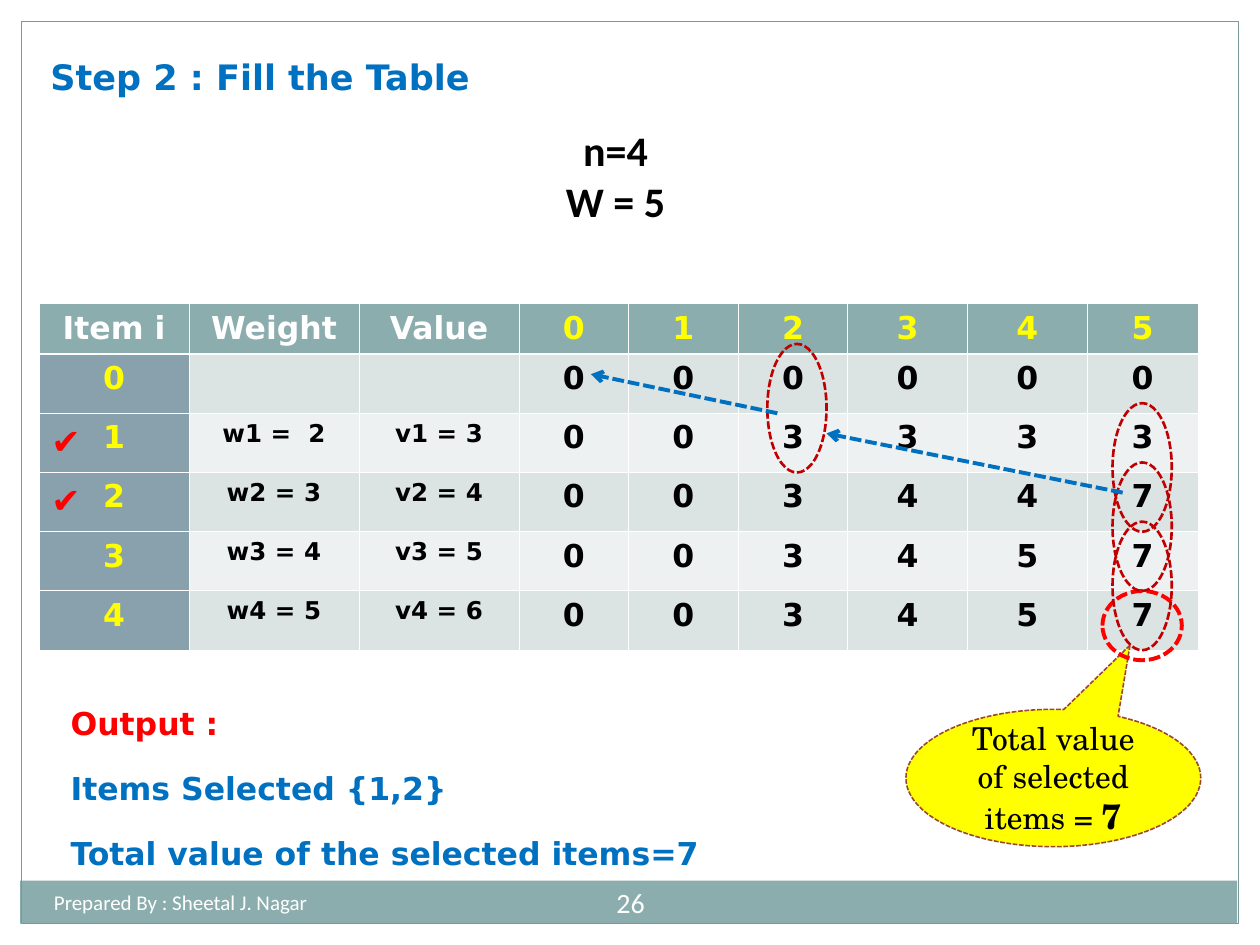
import pptx
import pptx.chart.data
import pptx.dml.color
import pptx.enum.dml
import pptx.enum.shapes
import pptx.enum.text
import pptx.oxml
import pptx.oxml.ns
import pptx.util

Inches, Pt = pptx.util.Inches, pptx.util.Pt
RGB = pptx.dml.color.RGBColor.from_string
SHAPE = pptx.enum.shapes.MSO_SHAPE
ALIGN, ANCHOR = pptx.enum.text.PP_ALIGN, pptx.enum.text.MSO_ANCHOR
NS = pptx.oxml.ns.nsdecls("a")

THEME = {
    "white": "FFFFFF", "black": "000000", "teal": "8CADAE", "frame": "7B9899",
    "item": "88A1AD", "bands": ("DBE3E3", "EEF1F2"), "yellow": "FFFF00",
    "blue": "0070C0", "red": "FF0000", "dark_red": "C00000", "brown": "994733",
    "main": "DejaVu Sans", "plain": "Calibri", "serif": "TeX Gyre Schola",
    "big": 24, "title": 20, "body": 18, "page": 16, "small": 14, "footer": 12,
}

TITLE = "Step 2 : Fill the Table"
GIVEN = ["n=4", "W = 5"]
OUTPUT = [("Output :", "red"), ("Items Selected {1,2}", "blue"),
          ("Total value of the selected items=7", "blue")]
FOOTER, PAGE = "Prepared By : Sheetal J. Nagar", "26"
CALLOUT, ANSWER = "Total value of selected items = ", "7"
ROWS = [
    ["Item i", "Weight", "Value", "0", "1", "2", "3", "4", "5"],
    ["0", "", "", "0", "0", "0", "0", "0", "0"],
    ["1", "w1 =  2", "v1 = 3", "0", "0", "3", "3", "3", "3"],
    ["2", "w2 = 3", "v2 = 4", "0", "0", "3", "4", "4", "7"],
    ["3", "w3 = 4", "v3 = 5", "0", "0", "3", "4", "5", "7"],
    ["4", "w4 = 5", "v4 = 6", "0", "0", "3", "4", "5", "7"],
]
COL_WIDTHS = [1.19, 1.35, 1.27, 0.87, 0.87, 0.87, 0.95, 0.95, 0.88]
TABLE_LEFT, TABLE_TOP, HEADER_H, ROW_H = 0.31, 2.41, 0.4, 0.47
CHOSEN_ITEMS = [2, 1]
COMPARED = [(8.83, 3), (8.83, 2), (8.83, 1), (6.09, 0)]  # left, upper item
TRACE_ARROWS = [(8.91, 3.91, 6.56, 3.44), (6.17, 3.28, 4.69, 2.97)]


def row_top(item):
    return TABLE_TOP + HEADER_H + ROW_H * item


def add_run(p, text, size, color, font="main", bold=True):
    r = p.add_run()
    r.text = text
    for name, value in {"size": Pt(THEME[size]), "name": THEME[font], "bold": bold}.items():
        setattr(r.font, name, value)
    r.font.color.rgb = RGB(THEME[color])


def set_line(line, color, width, dashed=True):
    line.color.rgb = RGB(THEME[color])
    line.width = Pt(width)
    if dashed:
        line.dash_style = pptx.enum.dml.MSO_LINE.SQUARE_DOT


def place(s, *box):
    for name, value in zip(("left", "top", "width", "height"), box):
        setattr(s, name, Inches(value))


def add_shape(shapes, kind, box, fill=None, line=None):
    s = shapes.add_shape(kind, *map(Inches, box))
    s.shadow.inherit = False
    if fill:
        s.fill.solid()
        s.fill.fore_color.rgb = RGB(THEME[fill])
    else:
        s.fill.background()
    if line:
        set_line(s.line, *line)
    else:
        s.line.fill.background()
    return s


def add_text(shapes, box, lines, size, color, font, bold, align=ALIGN.LEFT,
             anchor=ANCHOR.TOP):
    tf = shapes.add_textbox(*map(Inches, box)).text_frame
    tf.word_wrap, tf.vertical_anchor = True, anchor
    for i, line in enumerate(lines):
        p = tf.add_paragraph() if i else tf.paragraphs[0]
        p.alignment = align
        add_run(p, line, size, color, font, bold)
    return tf


def fill_placeholder(s, box, lines, size, space_before, line_spacing):
    place(s, *box)
    tf = s.text_frame
    tf.auto_size, tf.vertical_anchor = pptx.enum.text.MSO_AUTO_SIZE.NONE, ANCHOR.TOP
    for i, (text, color) in enumerate(lines):
        p = tf.add_paragraph() if i else tf.paragraphs[0]
        p.alignment, p.line_spacing = ALIGN.LEFT, line_spacing
        p.space_before = Pt(space_before)
        pPr = p._p.get_or_add_pPr()
        pPr.set("marL", str(Inches(0.46)))
        pPr.set("indent", str(Inches(-0.42)))
        pPr.append(pptx.oxml.parse_xml(f"<a:buNone {NS}/>"))
        add_run(p, text, size, color)


def set_borders(cell, row):
    thick = {0: "B", 1: "T"}.get(row)
    for side in "LRTB":
        width = Pt(1.47 if side == thick else 0.45)
        cell._tc.get_or_add_tcPr().append(pptx.oxml.parse_xml(
            f'<a:ln{side} {NS} w="{width}"><a:solidFill>'
            f'<a:srgbClr val="{THEME["white"]}"/></a:solidFill></a:ln{side}>'))


def cell_style(row, col):
    """Fill, text size and text colour of one table cell."""
    if row == 0:
        return THEME["teal"], "body", "white" if col < 3 else "yellow"
    if col == 0:
        return THEME["item"], "body", "yellow"
    return THEME["bands"][(row - 1) % 2], "small" if col < 3 else "body", "black"


def add_item_table(shapes):
    height = HEADER_H + ROW_H * (len(ROWS) - 1)
    table = shapes.add_table(len(ROWS), len(COL_WIDTHS), *map(
        Inches, (TABLE_LEFT, TABLE_TOP, sum(COL_WIDTHS), height))).table
    for col, width in zip(table.columns, COL_WIDTHS):
        col.width = Inches(width)
    for i, values in enumerate(ROWS):
        table.rows[i].height = Inches(ROW_H if i else HEADER_H)
        for j, text in enumerate(values):
            cell = table.cell(i, j)
            fill, size, color = cell_style(i, j)
            set_borders(cell, i)
            cell.fill.solid()
            cell.fill.fore_color.rgb = RGB(fill)
            if text:
                p = cell.text_frame.paragraphs[0]
                p.alignment = ALIGN.CENTER
                add_run(p, text, size, color)


def add_arrow(shapes, ends):
    s = shapes.add_connector(pptx.enum.shapes.MSO_CONNECTOR.STRAIGHT, *map(Inches, ends))
    set_line(s.line, "blue", 2.25)
    s.line._get_or_add_ln().append(pptx.oxml.parse_xml(f'<a:tailEnd {NS} type="arrow"/>'))
    s._element.spPr.append(pptx.oxml.parse_xml(f"<a:effectLst {NS}/>"))


def add_callout(shapes):
    s = add_shape(shapes, SHAPE.OVAL_CALLOUT, (7.19, 5.63, 2.34, 1.09), "yellow",
                  ("brown", 0.91))
    s.adjustments[0], s.adjustments[1] = 0.26, -0.967
    tf = s.text_frame
    tf.word_wrap, tf.vertical_anchor = True, ANCHOR.MIDDLE
    p = tf.paragraphs[0]
    p.alignment = ALIGN.CENTER
    add_run(p, CALLOUT, "body", "black", "serif", False)
    add_run(p, ANSWER, "title", "black", "serif")


def main():
    prs = pptx.Presentation()
    prs.slide_width, prs.slide_height = Inches(10), Inches(7.5)
    slide = prs.slides.add_slide(prs.slide_layouts[1])
    shapes = slide.shapes

    add_shape(shapes, SHAPE.RECTANGLE, (0.16, 6.99, 9.66, 0.34), "teal")
    add_shape(shapes, SHAPE.RECTANGLE, (0.17, 0.17, 9.66, 7.16),
              line=("frame", 0.75, False))
    add_item_table(shapes)
    fill_placeholder(shapes.title, (0.26, 0.39, 9.58, 0.78), [(TITLE, "blue")],
                     "title", 5, 1.0)
    fill_placeholder(slide.placeholders[1], (0.42, 5.39, 5.44, 1.26), OUTPUT,
                     "body", 4.5, 1.5)
    add_text(shapes, (4.3, 0.94, 1.17, 0.9), GIVEN, "big", "black", "plain", True,
             ALIGN.CENTER)
    add_callout(shapes)

    add_shape(shapes, SHAPE.OVAL, (8.75, 4.69, 0.63, 0.55), line=("red", 2.25))
    for left, item in COMPARED:
        add_shape(shapes, SHAPE.OVAL, (left, row_top(item) - 0.08, 0.47, 1.02),
                  line=("dark_red", 1.5))
    for item in CHOSEN_ITEMS:
        add_text(shapes, (TABLE_LEFT, row_top(item), 0.47, 0.44), ["✔"], "title",
                 "red", "main", False)
    for ends in TRACE_ARROWS:
        add_arrow(shapes, ends)

    tf = add_text(shapes, (4.67, 6.92, 0.67, 0.48), [PAGE], "page", "white", "plain",
                  False, ALIGN.CENTER, ANCHOR.MIDDLE)
    tf.margin_left = tf.margin_right = Inches(0.05)
    add_text(shapes, (0.33, 7.01, 3.92, 0.4), [FOOTER], "footer", "white", "plain", False)
    prs.save("out.pptx")


if __name__ == "__main__":
    main()
